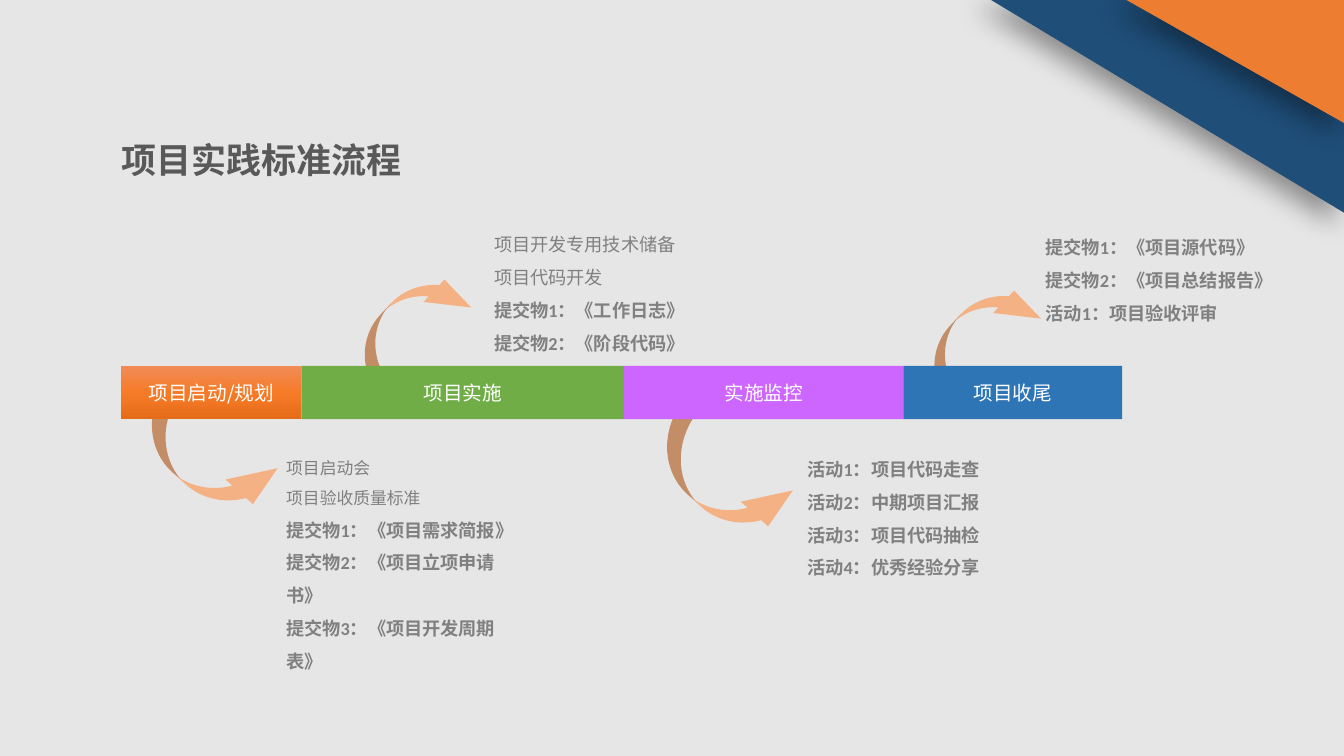
from dataclasses import dataclass

from lxml import etree
from pptx import Presentation
from pptx import util as u
from pptx.dml.color import RGBColor
from pptx.enum import shapes, text
from pptx.oxml import ns


@dataclass(frozen=True)
class Theme:
    background: str = "E7E6E6"
    navy: str = "1F4E79"
    orange: str = "ED7D31"
    arrow: str = "F4B183"
    green: str = "70AD47"
    violet: str = "CC66FF"
    blue: str = "2E75B6"
    launch: tuple = ((0, "F18C57"), (50, "F67B28"), (100, "E56C19"))
    white: str = "FFFFFF"
    grey: str = "808080"
    heading: str = "595959"
    latin: str = "Calibri"
    cjk: str = "Noto Sans CJK SC"
    title_size: int = 25
    stage_size: int = 14
    body_size: int = 13
    small_size: int = 12


THEME = Theme()
SLIDE_WIDTH, SLIDE_HEIGHT = u.Inches(13.33), u.Inches(7.5)
COLUMNS, ROWS = 133.3, 75
STAGE_LEFT, STAGE_TOP, STAGE_HEIGHT = 12, 36.3, 5.3


def place(left, top, width, height):
    column, row = SLIDE_WIDTH / COLUMNS, SLIDE_HEIGHT / ROWS
    return [round(n) for n in (left * column, top * row, width * column, height * row)]


def add_node(parent, tag, **attributes):
    values = {name: str(value) for name, value in attributes.items()}
    return etree.SubElement(parent, ns.qn(tag), values)


def set_fill(shape, fill):
    if isinstance(fill, str):
        shape.fill.solid()
        shape.fill.fore_color.rgb = RGBColor.from_string(fill)
        return
    shape.fill.gradient()
    shape.fill.gradient_angle = 270
    stops = shape.element.spPr.find(ns.qn("a:gradFill")).find(ns.qn("a:gsLst"))
    for stop in list(stops):
        stops.remove(stop)
    for position, color in fill:
        stop = add_node(stops, "a:gs", pos=position * 1000)
        add_node(stop, "a:srgbClr", val=color)


def add_filled(slide, kind, box, fill, rotation=0):
    shape = slide.shapes.add_shape(kind, *place(*box))
    shape.rotation = rotation
    shape.shadow.inherit = False
    set_fill(shape, fill)
    shape.line.fill.background()
    return shape


def add_corner(slide, width, height, fill):
    box = (COLUMNS - width, -0.3, width, height)
    shape = add_filled(slide, shapes.MSO_SHAPE.RIGHT_TRIANGLE, box, fill, 180)
    effects = shape.element.spPr.find(ns.qn("a:effectLst"))
    shadow = add_node(effects, "a:outerShdw", blurRad=u.Pt(20), dist=u.Pt(10),
                      dir=135 * 60000, algn="tr", rotWithShape=0)
    color = add_node(shadow, "a:srgbClr", val="000000")
    add_node(color, "a:alpha", val=40000)


def add_arrow(slide, left, top, upward):
    if upward:
        kind, size, rotation, head = shapes.MSO_SHAPE.CURVED_LEFT_ARROW, (6.1, 14.1), 223.2, 0.631
    else:
        kind, size, rotation, head = shapes.MSO_SHAPE.CURVED_RIGHT_ARROW, (7.3, 15.9), 312.1, 0.588
    arrow = add_filled(slide, kind, (left, top, *size), THEME.arrow, rotation)
    for index, value in enumerate((0.25, 0.5, head)):
        arrow.adjustments[index] = value


def style_paragraph(paragraph, content, size, color, bold=False, latin=THEME.cjk):
    run = paragraph.add_run()
    run.text = content
    font = paragraph.font
    font.size = u.Pt(size)
    font.bold = bold
    font.color.rgb = RGBColor.from_string(color)
    font.name = latin
    properties = run.font
    properties.name = latin
    add_node(run._r.get_or_add_rPr(), "a:ea", typeface=THEME.cjk)


def add_stage(slide, left, width, label, fill):
    box = (left, STAGE_TOP, width, STAGE_HEIGHT)
    stage = add_filled(slide, shapes.MSO_SHAPE.RECTANGLE, box, fill)
    stage.text_frame.vertical_anchor = text.MSO_ANCHOR.MIDDLE
    paragraph = stage.text_frame.paragraphs[0]
    paragraph.alignment = text.PP_ALIGN.CENTER
    style_paragraph(paragraph, label, THEME.stage_size, THEME.white)


def add_text_frame(slide, box, centred=False):
    frame = slide.shapes.add_textbox(*place(*box)).text_frame
    frame.word_wrap = True
    if centred:
        frame.vertical_anchor = text.MSO_ANCHOR.MIDDLE
        frame.margin_left = frame.margin_right = u.Inches(0.07)
        frame.margin_top = frame.margin_bottom = u.Inches(0.04)
    else:
        frame.auto_size = text.MSO_AUTO_SIZE.SHAPE_TO_FIT_TEXT
    return frame


def add_notes(slide, box, tasks, deliverables, centred=False, task_size=THEME.body_size):
    frame = add_text_frame(slide, box, centred)
    lines = [(task, task_size, False, THEME.cjk) for task in tasks]
    lines += [(item, THEME.body_size, True, THEME.latin) for item in deliverables]
    for index, (content, size, bold, latin) in enumerate(lines):
        paragraph = frame.add_paragraph() if index else frame.paragraphs[0]
        paragraph.line_spacing = 1.5
        style_paragraph(paragraph, content, size, THEME.grey, bold, latin)


def add_title(slide, content):
    frame = add_text_frame(slide, (11.1, 13.2, 73.2, 5.2))
    style_paragraph(frame.paragraphs[0], content, THEME.title_size, THEME.heading, True)


def main():
    presentation = Presentation()
    presentation.slide_width, presentation.slide_height = SLIDE_WIDTH, SLIDE_HEIGHT
    slide = presentation.slides.add_slide(presentation.slide_layouts[6])
    set_fill(slide.background, THEME.background)

    add_corner(slide, 35.5, 21.4, THEME.navy)
    add_corner(slide, 22.1, 12.5, THEME.orange)

    for left, top, upward in ((94.2, 26.5, True), (68, 39.3, False),
                              (16.9, 37.1, False), (37.7, 25.4, True)):
        add_arrow(slide, left, top, upward)

    left = STAGE_LEFT
    for label, width, fill in (("项目启动/规划", 17.9, THEME.launch),
                               ("项目实施", 32, THEME.green),
                               ("实施监控", 27.7, THEME.violet),
                               ("项目收尾", 21.7, THEME.blue)):
        add_stage(slide, left, width, label, fill)
        left += width

    add_notes(slide, (27.4, 43.9, 25.9, 16.9), ["项目启动会", "项目验收质量标准"],
              ["提交物1：《项目需求简报》", "提交物2：《项目立项申请书》", "提交物3：《项目开发周期表》"],
              task_size=THEME.small_size)
    add_notes(slide, (48.3, 18.8, 24.3, 19.6), ["项目开发专用技术储备", "项目代码开发"],
              ["提交物1：《工作日志》", "提交物2：《阶段代码》"], centred=True)
    add_notes(slide, (79.1, 43.9, 37.5, 13.8), [],
              ["活动1：项目代码走查", "活动2：中期项目汇报", "活动3：项目代码抽检", "活动4：优秀经验分享"])
    add_notes(slide, (103, 17.1, 24.6, 20.3), [],
              ["提交物1：《项目源代码》", "提交物2：《项目总结报告》", "活动1：项目验收评审"], centred=True)
    add_title(slide, "项目实践标准流程")

    presentation.save("out.pptx")


if __name__ == "__main__":
    main()
